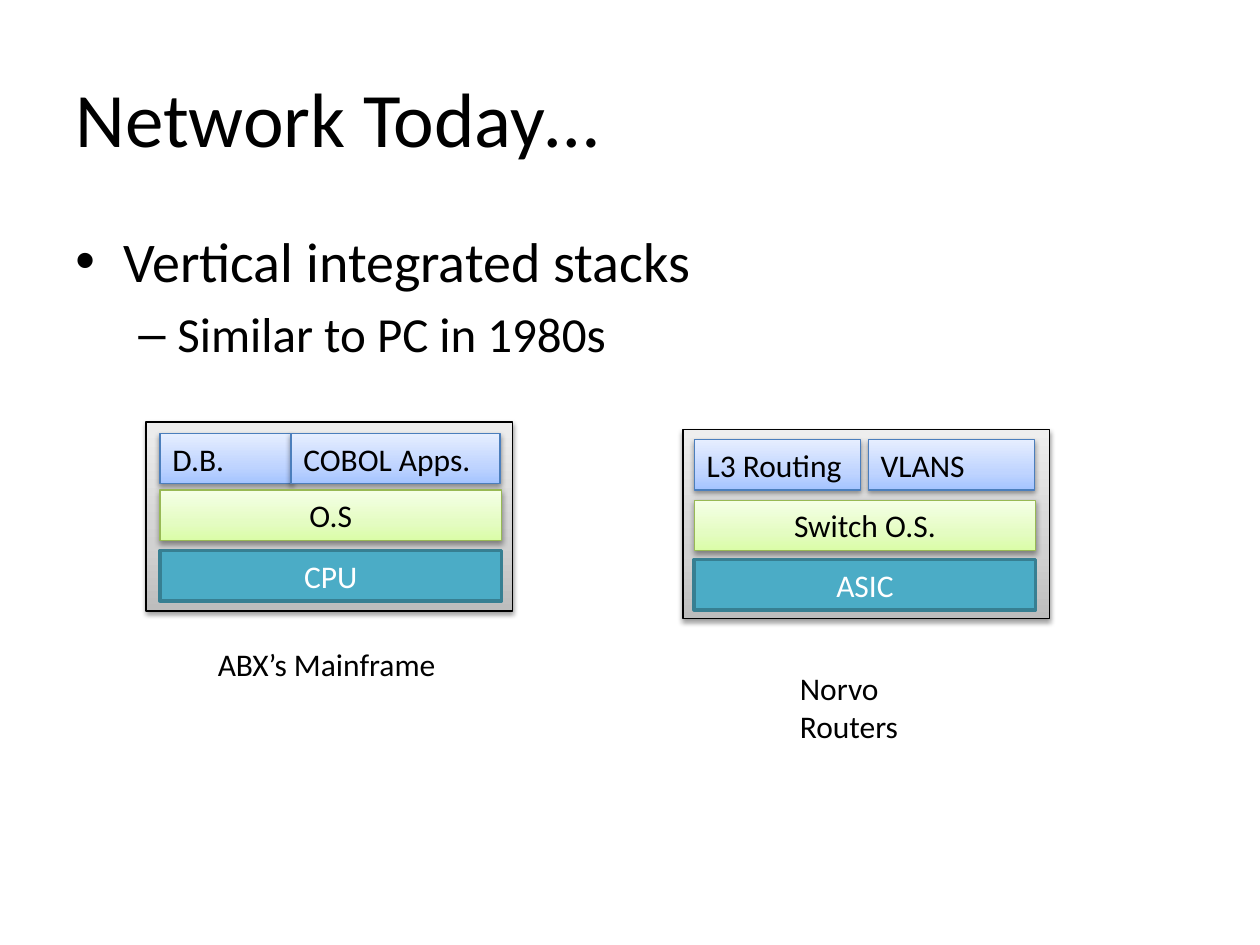
"""Build a slide comparing two vertically integrated stacks."""
from copy import deepcopy
from dataclasses import dataclass

from lxml import etree
from pptx import Presentation
from pptx.dml.color import RGBColor
from pptx.enum.shapes import MSO_SHAPE
from pptx.enum.text import MSO_ANCHOR, MSO_AUTO_SIZE, PP_ALIGN
from pptx.oxml.ns import qn
from pptx.util import Inches, Pt

RECT = MSO_SHAPE.RECTANGLE
TOP, MIDDLE = MSO_ANCHOR.TOP, MSO_ANCHOR.MIDDLE
LEFT, CENTER = PP_ALIGN.LEFT, PP_ALIGN.CENTER
GROW, FIXED = MSO_AUTO_SIZE.SHAPE_TO_FIT_TEXT, MSO_AUTO_SIZE.NONE


@dataclass(frozen=True)
class Style:
    fill: tuple[str, ...]
    line: str
    text: str = "000000"
    weight: float = 0.75
    align: PP_ALIGN = CENTER


@dataclass(frozen=True)
class Theme:
    font: str = "Calibri"
    ink: str = "000000"
    title: int = 44
    bullet: int = 32
    sub_bullet: int = 28
    label: int = 18
    stops: tuple[float, ...] = (0, 0.35, 1)
    frame: Style = Style(("BDBDBD", "D1D1D1", "EEEEEE"), "000000")
    app: Style = Style(("A4C4FF", "BFD4FF", "E6EEFF"), "4B7EBC", align=LEFT)
    system: Style = Style(("DAFDA7", "E4FCC2", "F5FFE7"), "98B955")
    chip: Style = Style(("4BACC6",), "377F92", "FFFFFF", 2)


@dataclass(frozen=True)
class App:
    name: str
    x: float
    w: float


@dataclass(frozen=True)
class Stack:
    x: float
    y: float
    inner_x: float
    row_tops: tuple[float, float, float]
    apps: tuple[App, App]
    system: str
    chip: str
    caption: str
    caption_box: tuple[float, float, float, float]


@dataclass(frozen=True)
class Bullet:
    text: str
    mark: str
    size: int
    margin: float
    hang: float


THEME = Theme()
FRAME_W, FRAME_H, ROW_W, ROW_H = 2.91, 1.5, 2.71, 0.4

STACKS = (
    Stack(1.16, 3.35, 1.27, (3.44, 3.89, 4.37),
          (App("D.B.", 1.27, 1.05), App("COBOL Apps.", 2.31, 1.66)),
          "O.S", "CPU", "ABX’s Mainframe", (1.63, 5.07, 1.98, 0.4)),
    Stack(5.42, 3.41, 5.51, (3.49, 3.97, 4.44),
          (App("L3 Routing", 5.51, 1.32), App("VLANS", 6.89, 1.32)),
          "Switch O.S.", "ASIC", "Norvo Routers", (6.25, 5.26, 1.59, 0.4)),
)

BULLETS = (
    Bullet("Vertical integrated stacks", "•", THEME.bullet, 0.38, 0.38),
    Bullet("Similar to PC in 1980s", "–", THEME.sub_bullet, 0.81, 0.31),
)


def format_text(p, size: int, color: str = THEME.ink, align: PP_ALIGN = LEFT) -> None:
    """Apply the theme font, size, colour and alignment to a paragraph."""
    p.alignment = align
    for r in p.runs:
        r.font.name, r.font.size = THEME.font, Pt(size)
        r.font.color.rgb = RGBColor.from_string(color)


def add_gradient(sp, colors: tuple[str, ...]) -> None:
    """Fill a shape with a gradient rising from bottom to top."""
    sp.fill.gradient()
    sp.fill.gradient_angle = 90
    stops = sp.fill._xPr.find(qn("a:gradFill")).find(qn("a:gsLst"))
    stops.insert(1, deepcopy(stops[0]))
    for stop, position, color in zip(sp.fill.gradient_stops, THEME.stops, colors):
        stop.position = position
        stop.color.rgb = RGBColor.from_string(color)


def add_shadow(sp) -> None:
    """Give a shape a soft shadow falling straight down."""
    effects = sp._element.spPr.find(qn("a:effectLst"))
    shadow = etree.SubElement(effects, qn("a:outerShdw"), blurRad=str(Pt(3.1)),
                              dist=str(Pt(1.6)), dir="5400000", rotWithShape="0")
    color = etree.SubElement(shadow, qn("a:srgbClr"), val=THEME.ink)
    etree.SubElement(color, qn("a:alpha"), val="38000")


def add_block(shapes, x: float, y: float, w: float, h: float,
              style: Style, text: str = "") -> None:
    """Draw one styled rectangle with an optional label."""
    sp = shapes.add_shape(RECT, Inches(x), Inches(y), Inches(w), Inches(h))
    sp.shadow.inherit = False
    if len(style.fill) > 1:
        add_gradient(sp, style.fill)
        add_shadow(sp)
    else:
        sp.fill.solid()
        sp.fill.fore_color.rgb = RGBColor.from_string(style.fill[0])
    sp.line.color.rgb = RGBColor.from_string(style.line)
    sp.line.width = Pt(style.weight)
    if text:
        tf = sp.text_frame
        tf.text, tf.word_wrap, tf.auto_size = text, True, GROW
        tf.vertical_anchor = TOP
        format_text(tf.paragraphs[0], THEME.label, style.text, style.align)


def add_stack(s, stack: Stack) -> None:
    """Draw a grouped stack and its caption."""
    shapes = s.shapes.add_group_shape().shapes
    app_y, system_y, chip_y = stack.row_tops
    add_block(shapes, stack.x, stack.y, FRAME_W, FRAME_H, THEME.frame)
    for app in stack.apps:
        add_block(shapes, app.x, app_y, app.w, ROW_H, THEME.app, app.name)
    add_block(shapes, stack.inner_x, system_y, ROW_W, ROW_H, THEME.system, stack.system)
    add_block(shapes, stack.inner_x, chip_y, ROW_W, ROW_H, THEME.chip, stack.chip)
    tf = s.shapes.add_textbox(*map(Inches, stack.caption_box)).text_frame
    tf.text, tf.word_wrap, tf.auto_size = stack.caption, False, GROW
    format_text(tf.paragraphs[0], THEME.label)


def add_title(s, text: str) -> None:
    """Place and format the slide title."""
    sp = s.shapes.title
    sp.left, sp.top, sp.width, sp.height = map(Inches, (0.5, 0.3, 9, 1.25))
    tf = sp.text_frame
    tf.text, tf.vertical_anchor, tf.auto_size = text, MIDDLE, FIXED
    format_text(tf.paragraphs[0], THEME.title)


def add_bullets(s, bullets: tuple[Bullet, ...]) -> None:
    """Write the bulleted text with hanging indents."""
    tf = s.shapes.add_textbox(*map(Inches, (0.5, 1.75, 9, 1.43))).text_frame
    tf.word_wrap = True
    tf.text = "\n".join(b.text for b in bullets)
    for level, (p, b) in enumerate(zip(tf.paragraphs, bullets)):
        p.level = level
        p.space_before = Pt(0.2 * b.size)
        format_text(p, b.size)
        props = p._p.get_or_add_pPr()
        props.set("marL", str(Inches(b.margin)))
        props.set("indent", str(-Inches(b.hang)))
        etree.SubElement(props, qn("a:buFont"), typeface="Arial")
        etree.SubElement(props, qn("a:buChar"), char=b.mark)


def main() -> None:
    """Build and save the slide."""
    prs = Presentation()
    prs.slide_width, prs.slide_height = Inches(10), Inches(7.5)
    s = prs.slides.add_slide(prs.slide_layouts[5])
    add_title(s, "Network Today…")
    add_bullets(s, BULLETS)
    for stack in STACKS:
        add_stack(s, stack)
    prs.save("out.pptx")


if __name__ == "__main__":
    main()
